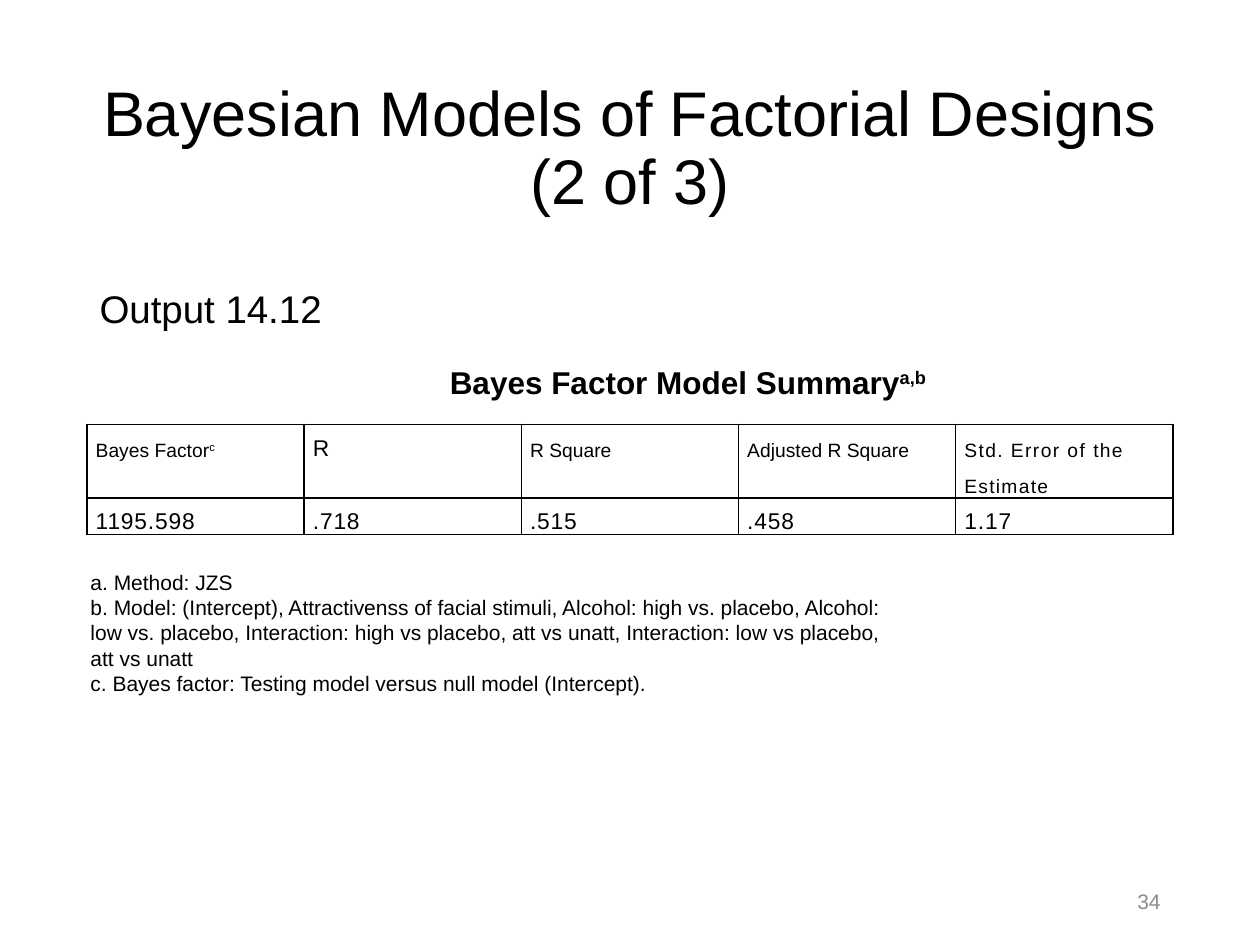
from pptx import Presentation
from pptx.dml.color import RGBColor
from pptx.enum import text as t
from pptx.oxml import parse_xml
from pptx.oxml.ns import nsdecls
from pptx.util import Pt

BLACK = RGBColor(0, 0, 0)
GRAY = RGBColor(0x8C, 0x8C, 0x8C)
FONT = "Arial"
LEFT, WIDTH = 49.68, 620.64

HEADER = [
    [("Bayes Factor", 11, 0), ("c", 11, 0, True)],
    [("R", 13, 0.5)],
    [("R Square", 11, 0)],
    [("Adjusted R Square", 11, 0)],
    [("Std. Error of ", 11, 0.8), ("the Estimate", 11, 0.7)],
]
VALUES = [[(value, 13, 0.5)] for value in ("1195.598", ".718", ".515", ".458", "1.17")]
NOTES = [
    "a. Method: JZS",
    "b. Model: (Intercept), Attractivenss of facial stimuli, Alcohol: high vs. placebo, "
    "Alcohol: low vs. placebo, Interaction: high vs placebo, att vs unatt, "
    "Interaction: low vs placebo, att vs unatt",
    "c. Bayes factor: Testing model versus null model (Intercept).",
]


def style_span(span, size, color=BLACK, bold=False):
    span.font.name = FONT
    span.font.size = Pt(size)
    span.font.bold = bold
    span.font.color.rgb = color


def add_span(para, wording, size, spacing=0, raised=False, bold=False):
    span = para.add_run()
    span.text = wording
    style_span(span, size, bold=bold)
    properties = span._r.get_or_add_rPr()
    if spacing:
        properties.set("spc", str(int(spacing * 100)))
    if raised:
        properties.set("baseline", "30000")


def fill_frame(frame, wording, size, align=t.PP_ALIGN.LEFT, color=BLACK):
    frame.word_wrap = True
    frame.text = wording
    for para in frame.paragraphs:
        para.alignment = align
        for span in para.runs:
            style_span(span, size, color)


def add_box(page, left, top, width, height):
    box = page.shapes.add_textbox(Pt(left), Pt(top), Pt(width), Pt(height))
    box.text_frame.word_wrap = True
    return box.text_frame


def fill_placeholder(holder, top, height, wording, size, align):
    holder.left, holder.top = Pt(LEFT), Pt(top)
    holder.width, holder.height = Pt(WIDTH), Pt(height)
    fill_frame(holder.text_frame, wording, size, align)
    holder.text_frame.auto_size = t.MSO_AUTO_SIZE.NONE
    return holder.text_frame.paragraphs[0]


def remove_bullet(para):
    properties = para._p.get_or_add_pPr()
    properties.set("marL", "0")
    properties.set("indent", "0")
    properties.append(parse_xml(f"<a:buNone {nsdecls('a')}/>"))


def border_cell(cell):
    properties = cell._tc.get_or_add_tcPr()
    for side in "LRTB":
        properties.append(parse_xml(
            f'<a:ln{side} {nsdecls("a")} w="12700"><a:solidFill>'
            f'<a:srgbClr val="{BLACK}"/></a:solidFill></a:ln{side}>'))


def fill_cell(cell, spans):
    border_cell(cell)
    cell.fill.background()
    cell.margin_left = cell.margin_right = Pt(5)
    cell.margin_top = cell.margin_bottom = 0
    para = cell.text_frame.paragraphs[0]
    para.line_spacing = Pt(20.9)
    for span in spans:
        add_span(para, *span)


def add_summary_table(page):
    frame = page.shapes.add_table(2, len(HEADER), Pt(LEFT), Pt(242.64), Pt(WIDTH), Pt(58))
    table = frame.table
    table.first_row = table.horz_banding = False
    for column in table.columns:
        column.width = Pt(WIDTH / len(HEADER))
    for row, height, contents in zip(table.rows, (41.8, 20.9), (HEADER, VALUES)):
        row.height = Pt(height)
        for cell, spans in zip(row.cells, contents):
            fill_cell(cell, spans)


def main():
    deck = Presentation()
    deck.slide_width, deck.slide_height = Pt(720), Pt(540)
    page = deck.slides.add_slide(deck.slide_layouts[1])

    heading = fill_placeholder(page.shapes.title, 33.84, 104.4,
                               "Bayesian Models of Factorial Designs (2 of 3)",
                               36, t.PP_ALIGN.CENTER)
    heading.line_spacing = 0.9
    page.shapes.title.text_frame.vertical_anchor = t.MSO_ANCHOR.MIDDLE

    label = fill_placeholder(page.placeholders[1], 159.12, 35.28,
                             "Output 14.12", 22, t.PP_ALIGN.LEFT)
    label.space_before = Pt(5)
    remove_bullet(label)

    caption = add_box(page, 157.68, 203.76, 470.88, 28.8).paragraphs[0]
    caption.alignment = t.PP_ALIGN.CENTER
    add_span(caption, "Bayes Factor Model Summary", 18, bold=True)
    add_span(caption, "a,b", 18, raised=True, bold=True)

    add_summary_table(page)
    fill_frame(add_box(page, 44.64, 321.84, 482.4, 79.92), "\n".join(NOTES), 12)

    number = add_box(page, 508.32, 500.4, 162, 28.8)
    number.vertical_anchor = t.MSO_ANCHOR.MIDDLE
    fill_frame(number, "34", 12, t.PP_ALIGN.RIGHT, GRAY)

    deck.save("out.pptx")


if __name__ == "__main__":
    main()
